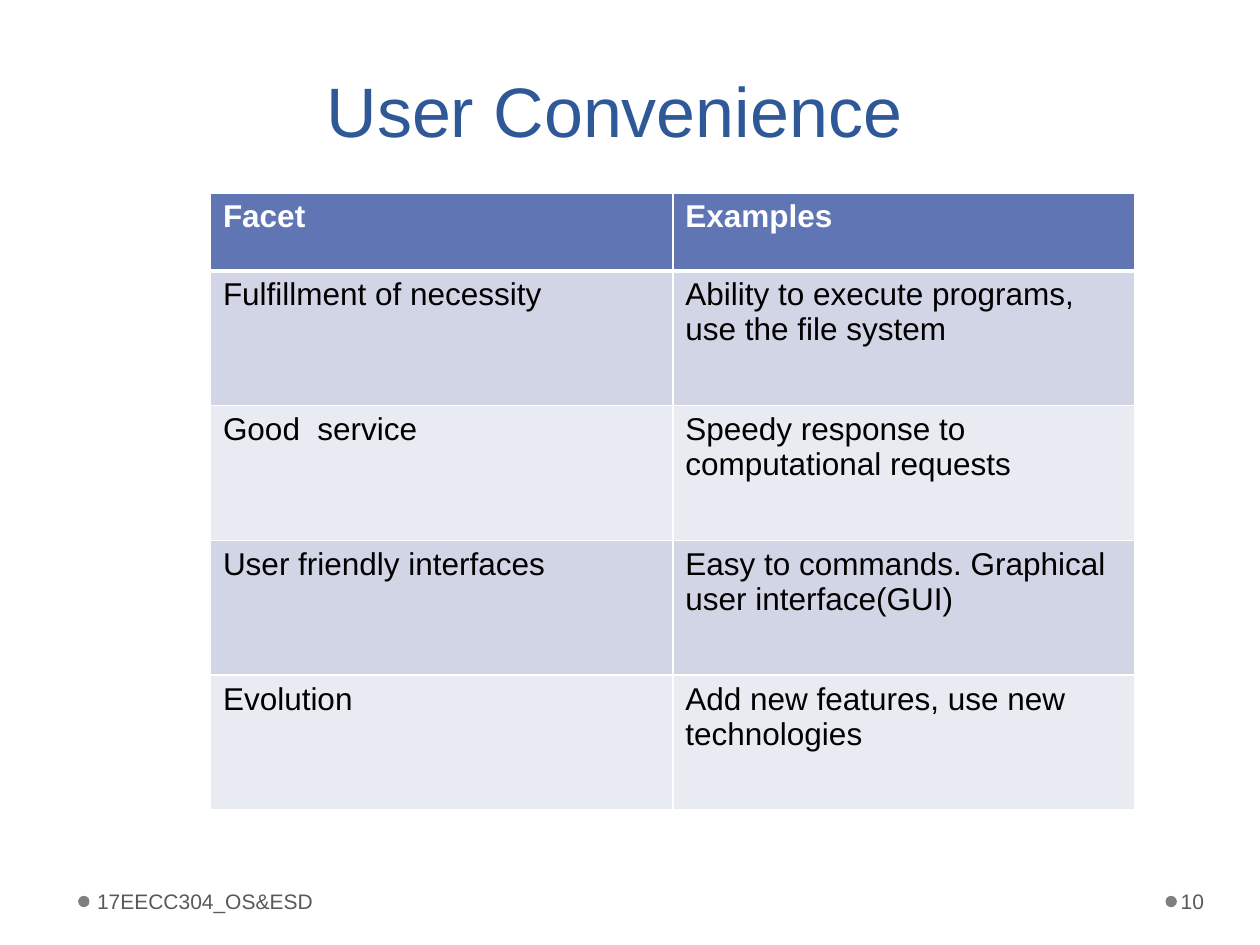
from lxml import etree
from pptx import Presentation
from pptx.dml.color import RGBColor
from pptx.enum import shapes, text
from pptx.oxml import ns
from pptx.util import Inches, Pt

FONT = "Arial"
WHITE = RGBColor(0xFF, 0xFF, 0xFF)
BLACK = RGBColor(0, 0, 0)
TITLE_BLUE = RGBColor(0x2F, 0x58, 0x97)
HEADER_BLUE = RGBColor(0x60, 0x76, 0xB4)
BANDS = [RGBColor(0xD1, 0xD5, 0xE5), RGBColor(0xE9, 0xEB, 0xF2)]
FOOTER_GRAY = RGBColor(0x59, 0x59, 0x59)
DOT_GRAY = RGBColor(0x7F, 0x7F, 0x7F)


def style(span, size, color, bold=False):
    span.font.name = FONT
    span.font.size = Pt(size)
    span.font.color.rgb = color
    span.font.bold = bold


def add_borders(cell, widths):
    properties = cell._tc.get_or_add_tcPr()
    for index, (side, width) in enumerate(zip("LRTB", widths)):
        line = etree.Element(ns.qn(f"a:ln{side}"), w=str(Pt(width)))
        fill = etree.SubElement(line, ns.qn("a:solidFill"))
        etree.SubElement(fill, ns.qn("a:srgbClr"), val=str(WHITE))
        properties.insert(index, line)


deck = Presentation()
deck.slide_width, deck.slide_height = Inches(10), Inches(7.5)
page = deck.slides.add_slide(deck.slide_layouts[5])

# Title
title = page.shapes.title
title.left, title.top = Inches(0.5), Inches(0)
title.width, title.height = Inches(8.75), Inches(1.25)
frame = title.text_frame
frame.text = "User Convenience"
frame.vertical_anchor = text.MSO_ANCHOR.BOTTOM
para = frame.paragraphs[0]
para.alignment = text.PP_ALIGN.CENTER
para.line_spacing = 1.45
style(para.runs[0], 40, TITLE_BLUE)

# Footer and page number, each led by a dot
footers = [
    ("17EECC304_OS&ESD", 0.62, 0.72, 3.11, 0.05, 0.1),
    ("10", 9.25, 9.34, 0.61, 0.03, 0.05),
]
for words, dot_left, left, width, inset_left, inset_right in footers:
    dot = page.shapes.add_shape(
        shapes.MSO_SHAPE.OVAL, Inches(dot_left), Inches(7.11), Inches(0.09), Inches(0.09))
    dot.shadow.inherit = False
    dot.fill.solid()
    dot.fill.fore_color.rgb = DOT_GRAY
    dot.line.fill.background()

    box = page.shapes.add_textbox(Inches(left), Inches(6.95), Inches(width), Inches(0.4))
    frame = box.text_frame
    frame.word_wrap = True
    frame.vertical_anchor = text.MSO_ANCHOR.MIDDLE
    frame.margin_left, frame.margin_right = Inches(inset_left), Inches(inset_right)
    frame.text = words
    style(frame.paragraphs[0].runs[0], 12, FOOTER_GRAY)

# Table of facets
rows = [
    ("Facet", "Examples"),
    ("Fulfillment of necessity", "Ability to execute programs, use the file system"),
    ("Good  service", "Speedy response to computational requests"),
    ("User friendly interfaces", "Easy to commands. Graphical user interface(GUI)"),
    ("Evolution", "Add new features, use new technologies"),
]
table = page.shapes.add_table(
    len(rows), 2, Inches(1.67), Inches(1.53), Inches(7.34), Inches(4.9)).table
for column in table.columns:
    column.width = Inches(3.67)
for r, words_in_row in enumerate(rows):
    header = r == 0
    table.rows[r].height = Inches(0.62 if header else 1.07)
    for c, words in enumerate(words_in_row):
        cell = table.cell(r, c)
        cell.text = words
        cell.fill.solid()
        cell.fill.fore_color.rgb = HEADER_BLUE if header else BANDS[(r - 1) % 2]
        style(cell.text_frame.paragraphs[0].runs[0], 18, WHITE if header else BLACK, header)
        add_borders(cell, (1, 1, 3 if r == 1 else 1, 3 if header else 1))

deck.save("out.pptx")
